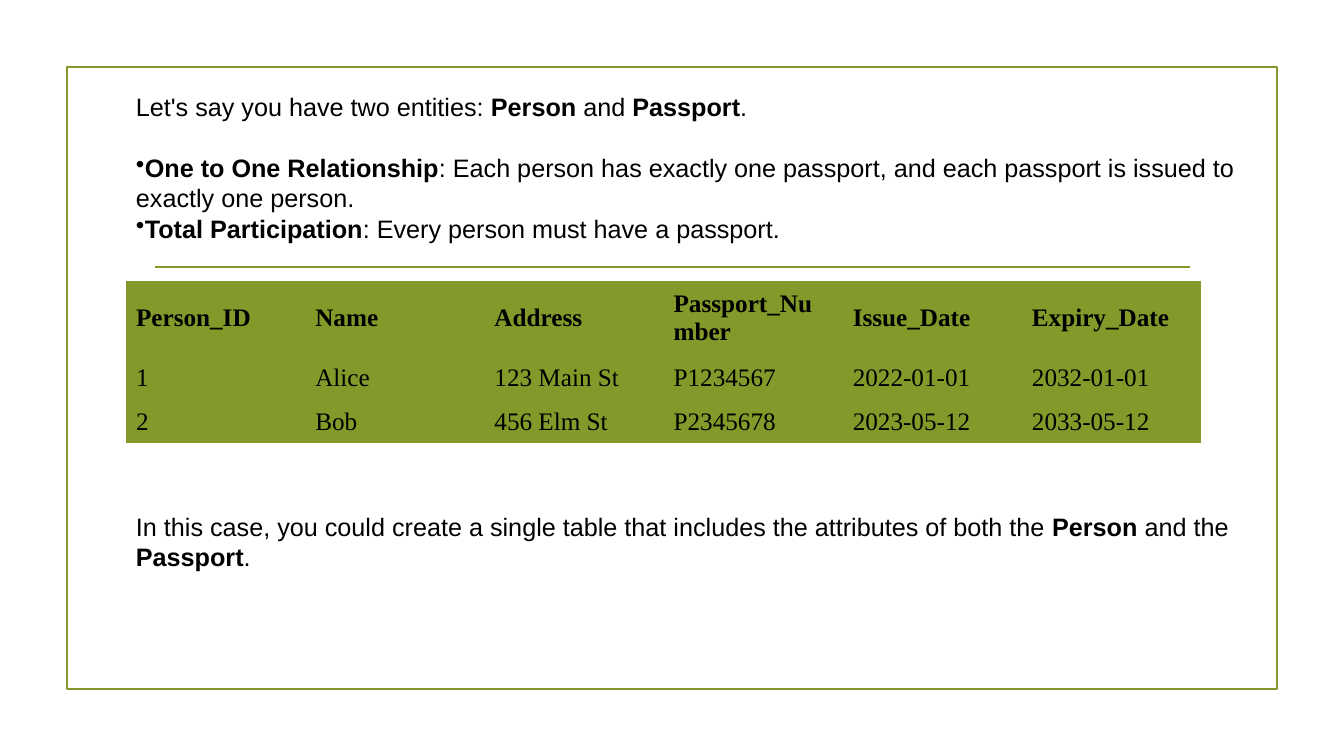
from lxml.etree import SubElement
from pptx import Presentation
from pptx.dml.color import RGBColor
from pptx.enum.shapes import MSO_CONNECTOR as Link, MSO_SHAPE as Shape
from pptx.enum.text import MSO_ANCHOR as Anchor
from pptx.oxml.ns import qn
from pptx.util import Inches, Pt

OLIVE, BLACK = "83992A", "000000"
LEFT = 15
PLAIN_STYLE = "{2D5ABB26-0587-4C30-8999-92F81FD0307C}"

INTRO = [
    "Let's say you have two entities: *Person* and *Passport*.",
    "•*One to One Relationship*: Each person has exactly one passport, "
    "and each passport is issued to exactly one person.",
    "•*Total Participation*: Every person must have a passport.",
]
CLOSING = ["In this case, you could create a single table that includes "
           "the attributes of both the *Person* and the *Passport*."]
ROWS = [
    ["Person_ID", "Name", "Address", "Passport_Number", "Issue_Date", "Expiry_Date"],
    ["1", "Alice", "123 Main St", "P1234567", "2022-01-01", "2032-01-01"],
    ["2", "Bob", "456 Elm St", "P2345678", "2023-05-12", "2033-05-12"],
]


def grid(*units):
    """Turn units of a 160 by 90 slide grid into lengths."""
    return [Inches(unit / 12) for unit in units]


def color(code):
    return RGBColor.from_string(code)


def set_font(para, face):
    para.font.name = face
    para.font.size = Pt(18)
    para.font.color.rgb = color(BLACK)


def set_line(shape):
    shape.line.color.rgb = color(OLIVE)
    shape.line.width = Pt(1.25)


def add_frame(slide, *box):
    frame = slide.shapes.add_shape(Shape.RECTANGLE, *grid(*box))
    frame.shadow.inherit = False
    frame.fill.background()
    set_line(frame)


def add_rule(slide, *ends):
    rule = slide.shapes.add_connector(Link.STRAIGHT, *grid(*ends))
    set_line(rule)
    SubElement(rule._element.spPr, qn("a:effectLst"))


def add_text(slide, lines, *box):
    """Write paragraphs: a leading • is a bullet, *stars* mark bold."""
    frame = slide.shapes.add_textbox(*grid(*box)).text_frame
    frame.word_wrap = True
    for i, line in enumerate(lines):
        para = frame.paragraphs[0] if i == 0 else frame.add_paragraph()
        set_font(para, "Arial")
        if line.startswith("•"):
            SubElement(para._p.get_or_add_pPr(), qn("a:buChar"), char="•")
        for j, part in enumerate(line.lstrip("•").split("*")):
            run = para.add_run()
            run.text = part
            run.font.bold = j % 2 == 1
    return frame


def add_table(slide, rows, heights, left, top, width):
    box = grid(left, top, width, sum(heights))
    table = slide.shapes.add_table(len(rows), len(rows[0]), *box).table
    table._tbl.tblPr.find(qn("a:tableStyleId")).text = PLAIN_STYLE
    for r, (row, height) in enumerate(zip(rows, grid(*heights))):
        table.rows[r].height = height
        for c, text in enumerate(row):
            cell = table.cell(r, c)
            cell.text = text
            cell.vertical_anchor = Anchor.MIDDLE
            cell.fill.solid()
            cell.fill.fore_color.rgb = color(OLIVE)
            para = cell.text_frame.paragraphs[0]
            set_font(para, "Times New Roman")
            para.font.bold = r == 0


def main():
    deck = Presentation()
    deck.slide_width, deck.slide_height = grid(160, 90)
    slide = deck.slides.add_slide(deck.slide_layouts[6])
    add_frame(slide, 8, 8, 144, 74)
    add_rule(slide, 18.4, 31.8, 141.7, 31.8)
    add_table(slide, ROWS, [9, 5.2, 5.2], LEFT, 33.4, 128)
    add_text(slide, CLOSING, LEFT, 60.3, 133.6, 8.5)
    intro = add_text(slide, INTRO, LEFT, 10.3, 133.6, 19.4)
    intro.paragraphs[0].space_after = Pt(22)
    deck.save("out.pptx")


if __name__ == "__main__":
    main()
